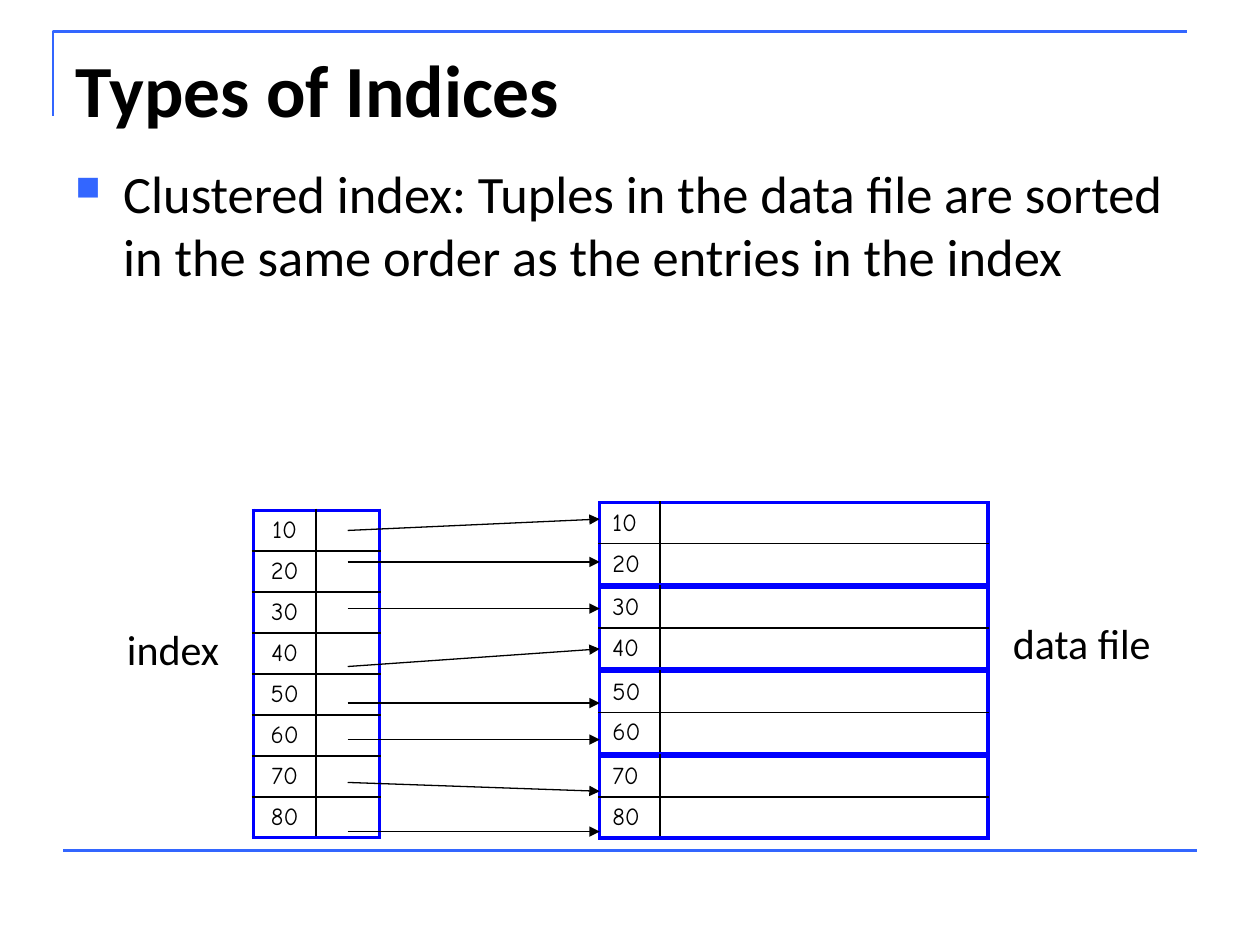
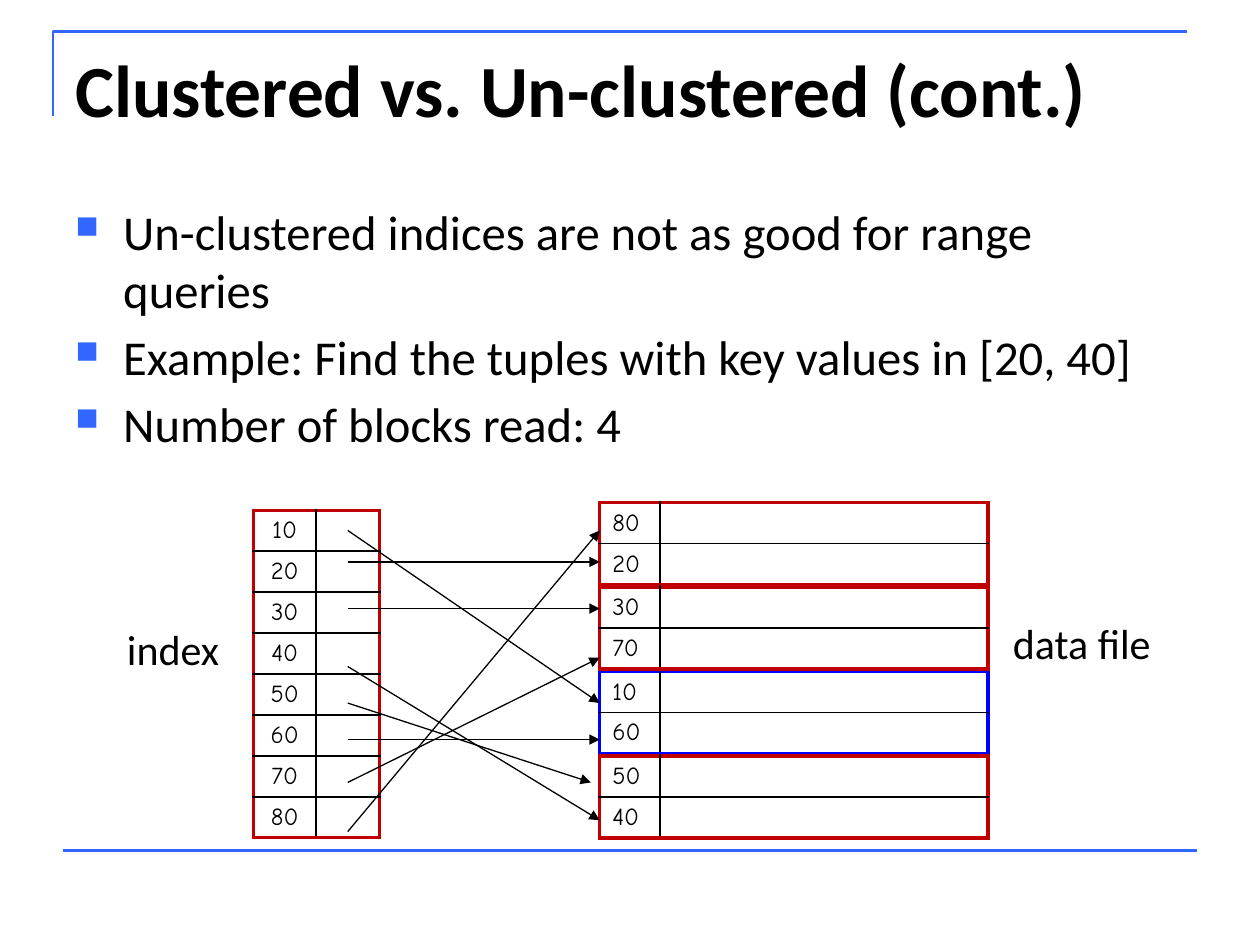
from dataclasses import dataclass

from lxml import etree
from pptx import Presentation
from pptx.dml.color import RGBColor
from pptx.enum.shapes import MSO_CONNECTOR
from pptx.enum.text import MSO_ANCHOR, PP_ALIGN
from pptx.oxml.ns import qn
from pptx.util import Inches, Pt

STRAIGHT = MSO_CONNECTOR.STRAIGHT
MIDDLE = MSO_ANCHOR.MIDDLE
LEFT, CENTER = PP_ALIGN.LEFT, PP_ALIGN.CENTER


@dataclass(frozen=True)
class Theme:
    accent: str = "3366FF"
    ink: str = "000000"
    blue: str = "0000FF"
    red: str = "C00000"
    font: str = "Calibri"
    key_font: str = "Comic Neue"
    title_size: float = 42
    label_size: float = 24
    key_size: float = 14
    rule_width: float = 1.5
    arrow_width: float = 0.75
    outer_border: float = 2.25
    inner_border: float = 1


THEME = Theme()
ROW_HEIGHT = 2.6 / 8
INDEX_KEYS = range(10, 90, 10)
INDEX_COLUMNS = (0.5, 0.5)
DATA_COLUMNS = (0.48, 2.6)
DATA_LEFT, DATA_TOP, BLOCK_STEP = 4.76, 3.99, 0.67
POINTER_LEFT = 2.76
POINTER_TOPS = (4.21, 4.46, 4.83, 5.29, 5.58, 5.87, 6.21, 6.6)

SLIDES = (
    {
        "title": "Types of Indices",
        "bullets": (
            "Clustered index: Tuples in the data file are sorted in the same "
            "order as the entries in the index",
        ),
        "body_box": (0.5, 1.23, 9, 2.76),
        "body_size": 30,
        "index_color": THEME.blue,
        "blocks": (
            (0, (10, 20), THEME.blue),
            (1, (30, 40), THEME.blue),
            (2, (50, 60), THEME.blue),
            (3, (70, 80), THEME.blue),
        ),
        "targets": tuple(
            (DATA_LEFT, y) for y in (4.12, 4.46, 4.83, 5.15, 5.58, 5.87, 6.28, 6.6)
        ),
    },
    {
        "title": "Clustered vs. Un-clustered (cont.)",
        "bullets": (
            "Un-clustered indices are not as good for range queries",
            "Example: Find the tuples with key values in [20, 40]",
            "Number of blocks read: 4",
        ),
        "body_box": (0.5, 1.55, 9, 2.44),
        "body_size": 27.8,
        "index_color": THEME.red,
        "blocks": (
            (0, (80, 20), THEME.red),
            (2, (10, 60), THEME.blue),
            (3, (50, 40), THEME.red),
            (1, (30, 70), THEME.red),
        ),
        "targets": (
            (DATA_LEFT, 5.58), (DATA_LEFT, 4.46), (DATA_LEFT, 4.83), (DATA_LEFT, 6.51),
            (4.69, 6.21), (DATA_LEFT, 5.87), (DATA_LEFT, 5.22), (DATA_LEFT, 4.21),
        ),
    },
)


def set_values(target, values):
    for name, value in values.items():
        setattr(target, name, value)


def add_run(paragraph, text, size, font=THEME.font, bold=False):
    run = paragraph.add_run()
    run.text = text
    set_values(run.font, {"name": font, "size": Pt(size), "bold": bold})
    run.font.color.rgb = RGBColor.from_string(THEME.ink)


def set_line(line, color, width):
    line.color.rgb = RGBColor.from_string(color)
    line.width = Pt(width)


def add_text(slide, box, text, size, bold=False, wrap=True):
    shape = slide.shapes.add_textbox(*map(Inches, box))
    shape.text_frame.word_wrap = wrap
    add_run(shape.text_frame.paragraphs[0], text, size, bold=bold)


def add_bullet_mark(paragraph):
    properties = paragraph._p.get_or_add_pPr()
    set_values_on_element = {"marL": Inches(0.38), "indent": Inches(-0.38)}
    for name, value in set_values_on_element.items():
        properties.set(name, str(int(value)))
    color = etree.SubElement(properties, qn("a:buClr"))
    etree.SubElement(color, qn("a:srgbClr"), val=THEME.accent)
    etree.SubElement(properties, qn("a:buSzPct"), val="65000")
    etree.SubElement(properties, qn("a:buChar"), char="■")


def add_bullets(slide, box, items, size):
    frame = slide.shapes.add_textbox(*map(Inches, box)).text_frame
    frame.word_wrap = True
    for number, item in enumerate(items):
        paragraph = frame.add_paragraph() if number else frame.paragraphs[0]
        add_bullet_mark(paragraph)
        if number:
            paragraph.space_before = Pt(5)
        add_run(paragraph, item, size)


def add_line(slide, start, end, color, width, arrow=False):
    connector = slide.shapes.add_connector(STRAIGHT, *map(Inches, (*start, *end)))
    set_line(connector.line, color, width)
    if arrow:
        line = connector.line._get_or_add_ln()
        etree.SubElement(line, qn("a:tailEnd"), type="triangle")
    etree.SubElement(connector._element.spPr, qn("a:effectLst"))


def add_frame(slide):
    builder = slide.shapes.build_freeform(Inches(0.42), Inches(0.92))
    corner = [(Inches(0.42), Inches(0.25)), (Inches(9.42), Inches(0.25))]
    builder.add_line_segments(corner, close=False)
    shape = builder.convert_to_shape()
    shape.shadow.inherit = False
    shape.fill.background()
    set_line(shape.line, THEME.accent, THEME.rule_width)
    add_line(slide, (0.5, 6.75), (9.5, 6.75), THEME.accent, THEME.rule_width)


def set_borders(cell, outer_sides, outer_color):
    properties = cell._tc.get_or_add_tcPr()
    for position, side in enumerate("LRTB"):
        outer = side in outer_sides
        width = THEME.outer_border if outer else THEME.inner_border
        line = etree.Element(qn(f"a:ln{side}"), w=str(int(Pt(width))))
        fill = etree.SubElement(line, qn("a:solidFill"))
        color = outer_color if outer else THEME.ink
        etree.SubElement(fill, qn("a:srgbClr"), val=color)
        properties.insert(position, line)


def add_key_table(slide, left, top, columns, keys, color, alignment):
    box = (left, top, sum(columns), ROW_HEIGHT * len(keys))
    table = slide.shapes.add_table(len(keys), 2, *map(Inches, box)).table
    set_values(table, {"first_row": False, "horz_banding": False})
    for column, width in zip(table.columns, columns):
        column.width = Inches(width)
    for number, key in enumerate(keys):
        table.rows[number].height = Inches(ROW_HEIGHT)
        row_sides = "T" * (number == 0) + "B" * (number == len(keys) - 1)
        for cell, side in zip(table.rows[number].cells, "LR"):
            margin = Inches(0.03)
            set_values(cell, {"margin_top": margin, "margin_bottom": margin,
                              "vertical_anchor": MIDDLE})
            cell.fill.background()
            set_borders(cell, row_sides + side, color)
            paragraph = cell.text_frame.paragraphs[0]
            if side == "L":
                paragraph.alignment = alignment
                add_run(paragraph, str(key), THEME.key_size, THEME.key_font)
            else:
                etree.SubElement(paragraph._p, qn("a:endParaRPr"),
                                 sz=str(THEME.key_size * 100))


def add_index_diagram(slide, index_color, blocks, targets):
    add_key_table(slide, 2.01, 4.05, INDEX_COLUMNS, INDEX_KEYS, index_color, CENTER)
    for slot, keys, color in blocks:
        top = DATA_TOP + slot * BLOCK_STEP
        add_key_table(slide, DATA_LEFT, top, DATA_COLUMNS, keys, color, LEFT)
    for top, target in zip(POINTER_TOPS, targets):
        add_line(slide, (POINTER_LEFT, top), target, THEME.ink,
                 THEME.arrow_width, arrow=True)
    add_text(slide, (0.91, 4.9, 0.94, 0.5), "index", THEME.label_size, wrap=False)
    add_text(slide, (7.94, 4.85, 1.31, 0.5), "data file", THEME.label_size, wrap=False)


def main():
    presentation = Presentation()
    set_values(presentation, {"slide_width": Inches(10), "slide_height": Inches(7.5)})
    for content in SLIDES:
        slide = presentation.slides.add_slide(presentation.slide_layouts[6])
        add_frame(slide)
        add_text(slide, (0.5, 0.3, 9, 1.25), content["title"], THEME.title_size, bold=True)
        add_bullets(slide, content["body_box"], content["bullets"], content["body_size"])
        add_index_diagram(slide, content["index_color"], content["blocks"],
                          content["targets"])
    presentation.save("out.pptx")


if __name__ == "__main__":
    main()
